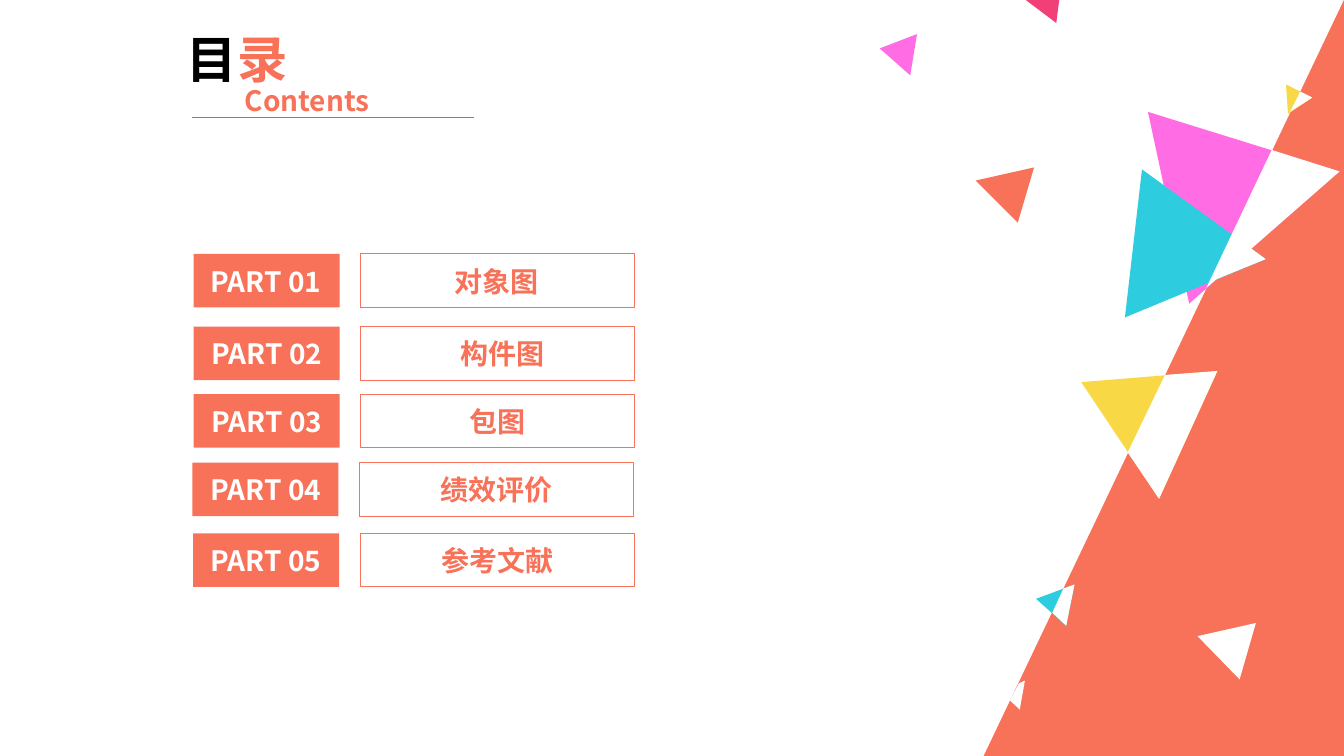
import pptx
import pptx.util
import pptx.dml.color
import pptx.enum.shapes
import pptx.enum.text
import pptx.oxml.ns
import lxml.etree

Cm = pptx.util.Cm
Pt = pptx.util.Pt
qn = pptx.oxml.ns.qn
ALIGN = pptx.enum.text.PP_ALIGN
SHAPE = pptx.enum.shapes.MSO_SHAPE

COLOURS = {
    "coral": "F77258",
    "pink": "FF6CE4",
    "cyan": "2DCCDF",
    "yellow": "F8D845",
    "magenta": "F04077",
    "white": "FFFFFF",
    "black": "000000",
    "grey": "808080",
}


def rgb(colour):
    return pptx.dml.color.RGBColor.from_string(COLOURS[colour])


class ContentsSlide:
    font_name = "Noto Sans CJK SC"

    def __init__(self, presentation):
        self.slide = presentation.slides.add_slide(presentation.slide_layouts[5])
        self.shapes = self.slide.shapes

    def style_paragraph(self, paragraph, size, colour, align):
        """Set the bold face for Latin and East Asian text alike."""
        paragraph.alignment = align
        font = paragraph.font
        font.size = Pt(size)
        font.bold = True
        font.name = self.font_name
        font.color.rgb = rgb(colour)
        defaults = paragraph._p.pPr.find(qn("a:defRPr"))
        lxml.etree.SubElement(defaults, qn("a:ea"), typeface=self.font_name)

    def fit_frame(self, frame):
        frame.word_wrap = True
        frame.auto_size = pptx.enum.text.MSO_AUTO_SIZE.SHAPE_TO_FIT_TEXT
        frame.vertical_anchor = pptx.enum.text.MSO_ANCHOR.TOP

    def title(self, parts, left, top, width, height):
        """Fill the title with (text, colour) parts."""
        title = self.shapes.title
        title.left, title.top = Cm(left), Cm(top)
        title.width, title.height = Cm(width), Cm(height)
        self.fit_frame(title.text_frame)
        paragraph = title.text_frame.paragraphs[0]
        self.style_paragraph(paragraph, 36, "black", ALIGN.LEFT)
        for text, colour in parts:
            run = paragraph.add_run()
            run.text = text
            run.font.color.rgb = rgb(colour)

    def text(self, words, left, top, width, colour, align=ALIGN.CENTER):
        box = self.shapes.add_textbox(Cm(left), Cm(top), Cm(width), Cm(1.12))
        self.fit_frame(box.text_frame)
        paragraph = box.text_frame.paragraphs[0]
        paragraph.text = words
        self.style_paragraph(paragraph, 20, colour, align)

    def paint(self, shape, fill=None, line=None):
        shape.shadow.inherit = False
        if fill:
            shape.fill.solid()
            shape.fill.fore_color.rgb = rgb(fill)
        else:
            shape.fill.background()
        if line:
            shape.line.color.rgb = rgb(line)
            shape.line.width = Pt(0.75)
        else:
            shape.line.fill.background()

    def preset(self, kind, left, top, width, height, fill=None, line=None):
        shape = self.shapes.add_shape(kind, Cm(left), Cm(top), Cm(width), Cm(height))
        self.paint(shape, fill, line)
        return shape

    def shard(self, colour, *corners):
        """Draw a filled polygon through corners given in centimetres."""
        points = [(Cm(x), Cm(y)) for x, y in corners]
        builder = self.shapes.build_freeform(*points[0])
        builder.add_line_segments(points[1:], close=True)
        self.paint(builder.convert_to_shape(), colour)

    def rule(self, left, right, y):
        line = self.shapes.add_connector(
            pptx.enum.shapes.MSO_CONNECTOR.STRAIGHT, Cm(left), Cm(y), Cm(right), Cm(y))
        line.line.color.rgb = rgb("grey")
        line.line.width = Pt(0.5)
        lxml.etree.SubElement(line._element.spPr, qn("a:effectLst"))


# Chapter, row top, row left, number text left, chapter text left
CHAPTERS = [
    ("对象图", 6.4, 4.88, 4.93, 8.66),
    ("构件图", 8.23, 4.88, 4.95, 8.81),
    ("包图", 9.93, 4.88, 4.95, 8.69),
    ("绩效评价", 11.66, 4.85, 4.93, 8.66),
    ("参考文献", 13.44, 4.87, 4.93, 8.69),
]

SHARDS = [
    ("coral", (26.06, 4.22), (25.65, 5.61), (24.59, 4.55)),
    ("pink", (29.97, 7.65), (28.93, 2.82), (33.76, 4.32)),
    ("cyan", (28.35, 8), (28.78, 4.27), (31.9, 6.53)),
    ("cyan", (26.11, 15.09), (27.08, 14.73), (26.87, 15.77)),
    ("yellow", (27.25, 9.63), (30.68, 9.35), (29.21, 12.57)),
    ("yellow", (32.46, 2.87), (32.41, 2.13), (33.07, 2.46)),
    ("pink", (22.17, 1.22), (23.11, 0.86), (22.94, 1.9)),
    ("magenta", (26.62, 0.58), (25.81, -0.03), (26.75, -0.43)),
    ("white", (31.65, 15.7), (31.24, 17.12), (30.18, 16.03)),
    ("white", (32.05, 3.78), (33.76, 4.32), (30.4, 7.26)),
    ("white", (31.06, 5.92), (31.9, 6.53), (30.48, 7.11)),
    ("white", (27.08, 14.73), (26.87, 15.77), (26.52, 15.44), (26.8, 14.83)),
    ("white", (25.83, 17.15), (25.7, 17.88), (25.45, 17.65), (25.68, 17.22)),
    ("white", (30.68, 9.35), (29.21, 12.57), (28.42, 11.4), (29.36, 9.45)),
    ("white", (32.77, 2.31), (33.07, 2.46), (32.51, 2.82)),
]


def main():
    presentation = pptx.Presentation()
    presentation.slide_width = Cm(33.87)
    presentation.slide_height = Cm(19.05)
    contents = ContentsSlide(presentation)

    corner = contents.preset(SHAPE.ISOSCELES_TRIANGLE, 24.79, 0, 9.08, 19.05, "coral")
    corner.adjustments[0] = 1
    for colour, *corners in SHARDS:
        contents.shard(colour, *corners)

    contents.title([("目", "black"), ("录", "coral")], 4.45, 0.58, 3.99, 1.8)
    contents.text("Contents", 5.92, 1.98, 3.99, "coral", ALIGN.LEFT)
    contents.rule(4.85, 11.94, 2.95)

    for number, (chapter, top, left, number_left, chapter_left) in enumerate(CHAPTERS, 1):
        contents.preset(SHAPE.RECTANGLE, left + 4.21, top, 6.91, 1.35, line="coral")
        contents.text(chapter, chapter_left, top + 0.13, 7.7, "coral")
        contents.preset(SHAPE.RECTANGLE, left, top, 3.68, 1.35, "coral")
        contents.text(f"PART {number:02}", number_left, top + 0.13, 3.56, "white")

    presentation.save("out.pptx")


if __name__ == "__main__":
    main()
